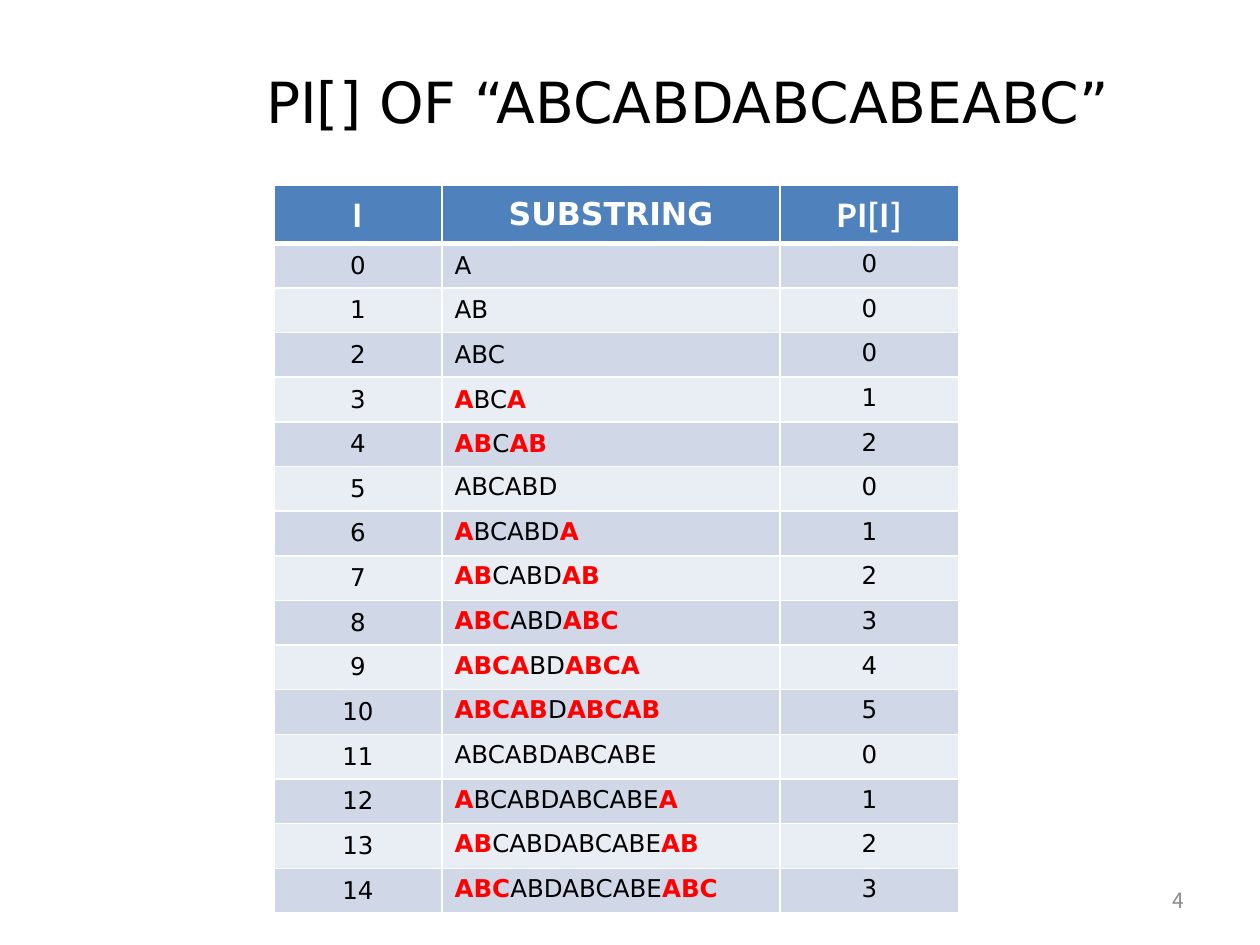
import lxml.etree
import pptx
import pptx.dml.color
import pptx.enum.text
import pptx.oxml.ns
import pptx.util

Cm = pptx.util.Cm
Pt = pptx.util.Pt
ALIGN = pptx.enum.text.PP_ALIGN
ANCHOR = pptx.enum.text.MSO_ANCHOR

COLORS = {
    "text": "000000",
    "white": "FFFFFF",
    "header": "4F81BD",
    "odd_band": "D0D8E8",
    "even_band": "E9EDF4",
    "match": "FF0000",
    "number": "8C8C8C",
}
MAIN_FONT = "DejaVu Sans"
SECOND_FONT = "Noto Sans CJK KR"
PATTERN = "ABCABDABCABEABC"
HEADERS = [("I", SECOND_FONT), ("SUBSTRING", MAIN_FONT), ("PI[I]", SECOND_FONT)]
COLUMN_WIDTHS = [3.39, 6.81, 3.61]
ROW_HEIGHT = 0.9


def rgb(name):
    return pptx.dml.color.RGBColor.from_string(COLORS[name])


def prefix_function(text):
    """Length of the longest proper prefix that is also a suffix, per position."""
    lengths = [0] * len(text)
    for index in range(1, len(text)):
        length = lengths[index - 1]
        while length and text[index] != text[length]:
            length = lengths[length - 1]
        lengths[index] = length + (text[index] == text[length])
    return lengths


def write_text(frame, parts, size, font, color, align, bold=False):
    """Write (text, is_match) parts as one paragraph."""
    paragraph = frame.paragraphs[0]
    paragraph.alignment = align
    paragraph.font.size = Pt(size)
    paragraph.font.name = font
    paragraph.font.bold = bold
    paragraph.font.color.rgb = rgb(color)
    for text, is_match in parts:
        run = paragraph.add_run()
        run.text = text
        if is_match:
            run.font.bold = True
            run.font.color.rgb = rgb("match")


def set_borders(cell, top=1, bottom=1):
    properties = cell._tc.get_or_add_tcPr()
    for side, width in (("L", 1), ("R", 1), ("T", top), ("B", bottom)):
        line = lxml.etree.SubElement(
            properties, pptx.oxml.ns.qn("a:ln" + side), w=str(Pt(width)))
        fill = lxml.etree.SubElement(line, pptx.oxml.ns.qn("a:solidFill"))
        lxml.etree.SubElement(
            fill, pptx.oxml.ns.qn("a:srgbClr"), val=COLORS["white"])


def format_cell(cell, fill, anchor, top=1, bottom=1):
    set_borders(cell, top, bottom)
    cell.fill.solid()
    cell.fill.fore_color.rgb = rgb(fill)
    cell.vertical_anchor = anchor


def add_title(slide, text):
    title = slide.shapes.title
    title.left, title.top, title.width, title.height = (
        Cm(5.11), Cm(0.74), Cm(17.93), Cm(2.57))
    frame = title.text_frame
    frame.auto_size = pptx.enum.text.MSO_AUTO_SIZE.NONE
    frame.vertical_anchor = ANCHOR.MIDDLE
    write_text(frame, [(text, False)], 32.4, MAIN_FONT, "text", ALIGN.LEFT)


def split_matches(text, length):
    """Separate the matching prefix and suffix from the middle."""
    if not length:
        return [(text, False)]
    return [(text[:length], True), (text[length:-length], False),
            (text[-length:], True)]


def add_prefix_table(slide):
    lengths = prefix_function(PATTERN)
    frame = slide.shapes.add_table(
        len(PATTERN) + 1, len(HEADERS), Cm(5.52), Cm(3.73),
        Cm(sum(COLUMN_WIDTHS)), Cm(ROW_HEIGHT * (len(PATTERN) + 1)))
    table = frame.table
    for column, width in zip(table.columns, COLUMN_WIDTHS):
        column.width = Cm(width)
    for row in table.rows:
        row.height = Cm(ROW_HEIGHT)

    # Header row
    for cell, (text, font) in zip(table.rows[0].cells, HEADERS):
        format_cell(cell, "header", ANCHOR.MIDDLE, bottom=3)
        write_text(cell.text_frame, [(text, False)], 18, font, "white",
                   ALIGN.CENTER, bold=True)

    # One row for each prefix of the pattern
    for index, length in enumerate(lengths):
        substring_anchor = ANCHOR.MIDDLE if index < 5 else ANCHOR.TOP
        contents = [
            ([(str(index), False)], ALIGN.CENTER, ANCHOR.MIDDLE),
            (split_matches(PATTERN[:index + 1], length), ALIGN.LEFT,
             substring_anchor),
            ([(str(length), False)], ALIGN.CENTER, ANCHOR.TOP),
        ]
        band = "even_band" if index % 2 else "odd_band"
        for cell, (parts, align, anchor) in zip(
                table.rows[index + 1].cells, contents):
            format_cell(cell, band, anchor, top=1 if index else 3)
            write_text(cell.text_frame, parts, 14, MAIN_FONT, "text", align)


def add_slide_number(slide, number):
    box = slide.shapes.add_textbox(Cm(18.2), Cm(17.65), Cm(5.93), Cm(1.01))
    frame = box.text_frame
    frame.word_wrap = True
    frame.vertical_anchor = ANCHOR.MIDDLE
    write_text(frame, [(number, False)], 12, SECOND_FONT, "number", ALIGN.RIGHT)


def main():
    presentation = pptx.Presentation()
    presentation.slide_width = Cm(25.4)
    presentation.slide_height = Cm(19.05)
    slide = presentation.slides.add_slide(presentation.slide_layouts[5])
    add_title(slide, f"PI[] OF “{PATTERN}”")
    add_prefix_table(slide)
    add_slide_number(slide, "4")
    presentation.save("out.pptx")


main()
